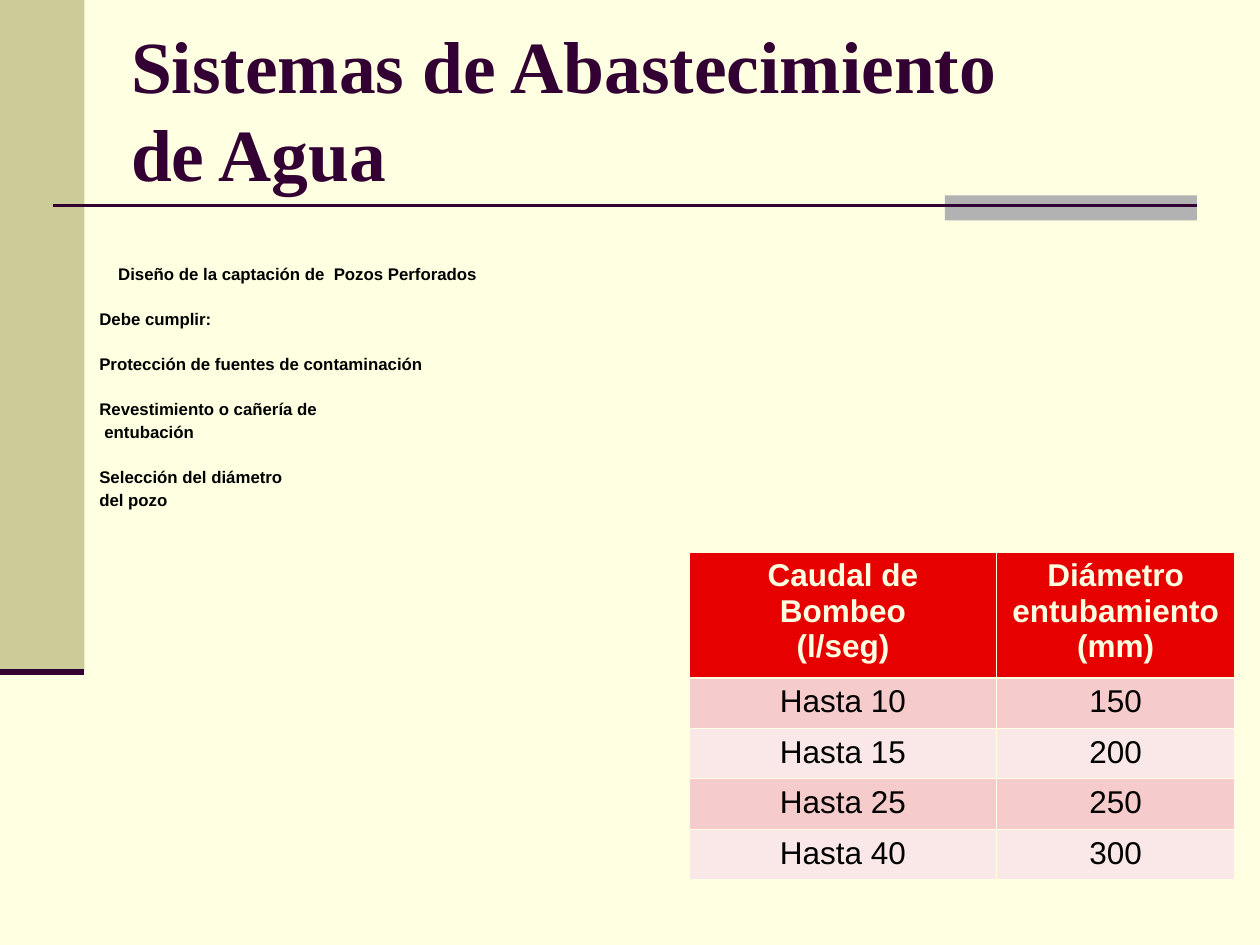
from lxml import etree
from pptx import Presentation
from pptx import util as u
from pptx.dml import color
from pptx.enum import shapes, text
from pptx.oxml import ns

CREAM, PURPLE, OLIVE, GRAY, BLACK = "FFFFE1", "330033", "CCCC99", "B2B2B2", "000000"
RED, BANDS = "E70000", ("F6CBCB", "FAE7E7")

TITLE = "Sistemas de Abastecimiento\vde Agua"
NEW, NEXT = 18.9, 6
BODY = [
    ("Diseño de la captación de  Pozos Perforados", 0.15, 0),
    ("Debe cumplir:", 0, NEW),
    ("Protección de fuentes de contaminación", 0, NEW),
    ("Revestimiento o cañería de", 0, NEW),
    ("entubación", 0.04, NEXT),
    ("Selección del diámetro", 0, NEW),
    ("del pozo", 0, NEXT),
]
ROWS = [
    ("Caudal de Bombeo\n(l/seg)", "Diámetro entubamiento\n(mm)"),
    ("Hasta 10", "150"),
    ("Hasta 15", "200"),
    ("Hasta 25", "250"),
    ("Hasta 40", "300"),
]
COLUMN_WIDTHS = (2.44, 1.89)
ROW_HEIGHTS = (1, 0.4, 0.4, 0.4, 0.4)
BARS = [(0, 0, 0.67, 5.33, OLIVE), (7.5, 1.55, 2, 0.2, GRAY)]
RULES = [(0.42, 9.5, 1.63, 1.5), (0, 0.67, 5.33, 3.5)]


def paint(target, value):
    target.solid()
    target.fore_color.rgb = color.RGBColor.from_string(value)


def write(para, content, size, ink, font="Arial", bold=False, align=None,
          indent=0, before=0, spacing=None):
    para.text = content
    para.alignment = align
    para.space_before = u.Pt(before)
    para.line_spacing = spacing
    properties = para._p.get_or_add_pPr()
    properties.set("marL", "0")
    properties.set("indent", str(u.Inches(indent)))
    for span in para.runs:
        span.font.name = font
        span.font.size = u.Pt(size)
        span.font.bold = bold
        span.font.color.rgb = color.RGBColor.from_string(ink)


def place(shape, left, top, width, height):
    shape.left, shape.top = u.Inches(left), u.Inches(top)
    shape.width, shape.height = u.Inches(width), u.Inches(height)


def add_bar(slide, left, top, width, height, fill):
    bar = slide.shapes.add_shape(
        shapes.MSO_SHAPE.RECTANGLE, *map(u.Inches, (left, top, width, height)))
    bar.shadow.inherit = False
    paint(bar.fill, fill)
    bar.line.fill.background()


def add_rule(slide, start, end, top, weight):
    rule = slide.shapes.add_connector(
        shapes.MSO_CONNECTOR.STRAIGHT, *map(u.Inches, (start, top, end, top)))
    paint(rule.line.fill, PURPLE)
    rule.line.width = u.Pt(weight)
    etree.SubElement(rule._element.spPr, ns.qn("a:effectLst"))


def set_borders(cell, weights):
    properties = cell._tc.get_or_add_tcPr()
    for position, (side, weight) in enumerate(weights.items()):
        edge = etree.Element(ns.qn(f"a:ln{side}"), w=str(u.Pt(weight)))
        fill = etree.SubElement(edge, ns.qn("a:solidFill"))
        etree.SubElement(fill, ns.qn("a:srgbClr"), val=CREAM)
        properties.insert(position, edge)


def add_flow_table(slide):
    frame = slide.shapes.add_table(
        len(ROWS), len(COLUMN_WIDTHS), u.Inches(5.47), u.Inches(4.38),
        u.Inches(sum(COLUMN_WIDTHS)), u.Inches(sum(ROW_HEIGHTS)))
    table = frame.table
    for column, width in zip(table.columns, COLUMN_WIDTHS):
        column.width = u.Inches(width)
    for index, (row, height, values) in enumerate(zip(table.rows, ROW_HEIGHTS, ROWS)):
        row.height = u.Inches(height)
        header = index == 0
        for cell, value in zip(row.cells, values):
            paint(cell.fill, RED if header else BANDS[(index - 1) % 2])
            set_borders(cell, {"L": 0.45, "R": 0.45,
                               "T": 1.47 if index == 1 else 0.45,
                               "B": 1.47 if header else 0.45})
            cell.text = value
            for para in cell.text_frame.paragraphs:
                write(para, para.text, 18, CREAM if header else BLACK,
                      bold=header, align=text.PP_ALIGN.CENTER)


def main():
    deck = Presentation()
    deck.slide_width, deck.slide_height = u.Inches(10), u.Inches(7.5)
    slide = deck.slides.add_slide(deck.slide_layouts[5])
    paint(slide.background.fill, CREAM)
    for bar in BARS:
        add_bar(slide, *bar)
    for rule in RULES:
        add_rule(slide, *rule)

    title = slide.shapes.title
    place(title, 0.94, 0.23, 8.5, 1.25)
    title.text_frame.vertical_anchor = text.MSO_ANCHOR.MIDDLE
    title.text_frame.auto_size = text.MSO_AUTO_SIZE.NONE
    write(title.text_frame.paragraphs[0], TITLE, 42, PURPLE,
          font="Times New Roman", bold=True, align=text.PP_ALIGN.LEFT)

    box = slide.shapes.add_textbox(*map(u.Inches, (0.69, 2.1, 9, 2.05)))
    box.text_frame.word_wrap = True
    for index, (content, indent, before) in enumerate(BODY):
        para = box.text_frame.add_paragraph() if index else box.text_frame.paragraphs[0]
        write(para, content, 9.6, BLACK, bold=True, align=text.PP_ALIGN.JUSTIFY,
              indent=indent, before=before, spacing=0.6)

    add_flow_table(slide)
    deck.save("out.pptx")


if __name__ == "__main__":
    main()
